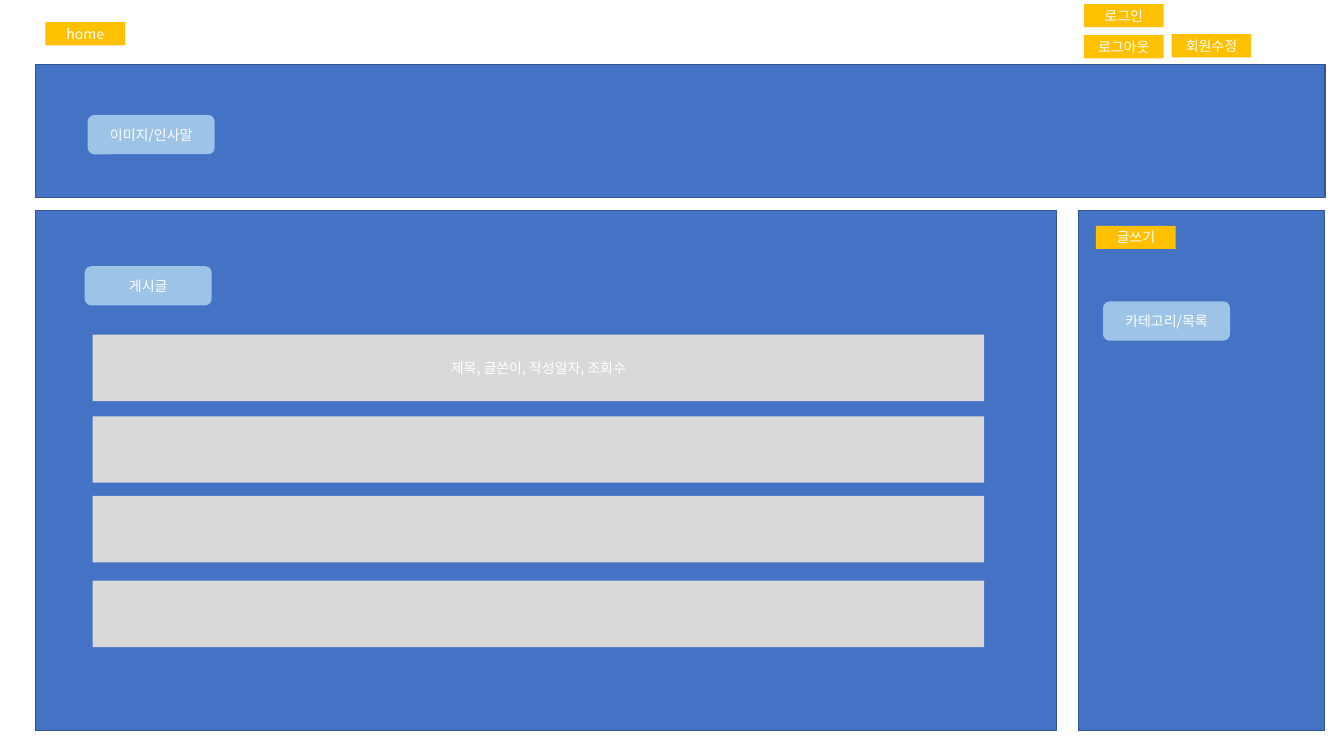
from lxml import etree
from pptx import Presentation
from pptx.dml.color import RGBColor
from pptx.enum.shapes import MSO_SHAPE
from pptx.enum.text import MSO_ANCHOR, PP_ALIGN
from pptx.oxml.ns import qn
from pptx.util import Inches, Pt

RECT = MSO_SHAPE.RECTANGLE
ROUND = MSO_SHAPE.ROUNDED_RECTANGLE
MIDDLE = MSO_ANCHOR.MIDDLE
CENTER = PP_ALIGN.CENTER
FONT = "Noto Sans CJK KR"
BLUE, NAVY = "4472C4", "325491"
AMBER, SKY, GRAY, WHITE = "FFC000", "9DC3E6", "D9D9D9", "FFFFFF"


def rgb(color):
    return RGBColor.from_string(color)


def add_box(x, y, w, h, text="", fill=BLUE, line=None, kind=RECT, size=10, color=WHITE):
    sp = s.shapes.add_shape(kind, Inches(x), Inches(y), Inches(w), Inches(h))
    sp.shadow.inherit = False
    sp.fill.solid()
    sp.fill.fore_color.rgb = rgb(fill)
    if line:
        sp.line.color.rgb = rgb(line)
        sp.line.width = Pt(1)
    else:
        sp.line.fill.background()
    if text:
        tf = sp.text_frame
        tf.word_wrap = True
        tf.vertical_anchor = MIDDLE
        tf.margin_top = tf.margin_bottom = 0
        p = tf.paragraphs[0]
        p.alignment = CENTER
        r = p.add_run()
        r.text = text
        r.font.size = Pt(size)
        r.font.color.rgb = rgb(color)
        r.font.name = FONT
        # Hangul takes the East Asian typeface
        etree.SubElement(r.font._element, qn("a:ea"), typeface=FONT)


prs = Presentation()
prs.slide_width, prs.slide_height = Inches(13.33), Inches(7.5)
s = prs.slides.add_slide(prs.slide_layouts[6])

# Page areas: sidebar, board, banner
for x, y, w, h in [(10.7, 2.09, 2.44, 5.16), (0.35, 2.09, 10.13, 5.16), (0.35, 0.64, 12.79, 1.32)]:
    add_box(x, y, w, h, line=NAVY)

# Buttons
for x, y, text in [
    (10.87, 2.24, "글쓰기"),
    (0.45, 0.22, "home"),
    (10.75, 0.04, "로그인"),
    (11.62, 0.34, "회원수정"),
    (10.75, 0.35, "로그아웃"),
]:
    add_box(x, y, 0.79, 0.23, text, fill=AMBER)

# Area labels
for x, y, text in [(10.94, 2.99, "카테고리/목록"), (0.84, 2.64, "게시글"), (0.87, 1.14, "이미지/인사말")]:
    add_box(x, y, 1.26, 0.39, text, fill=SKY, kind=ROUND)

# Post rows, the first one naming the fields
for y, text in [(3.32, "제목, 글쓴이, 작성일자, 조회수"), (4.13, ""), (4.92, ""), (5.76, "")]:
    add_box(0.92, y, 8.84, 0.66, text, fill=GRAY)

prs.save("out.pptx")
